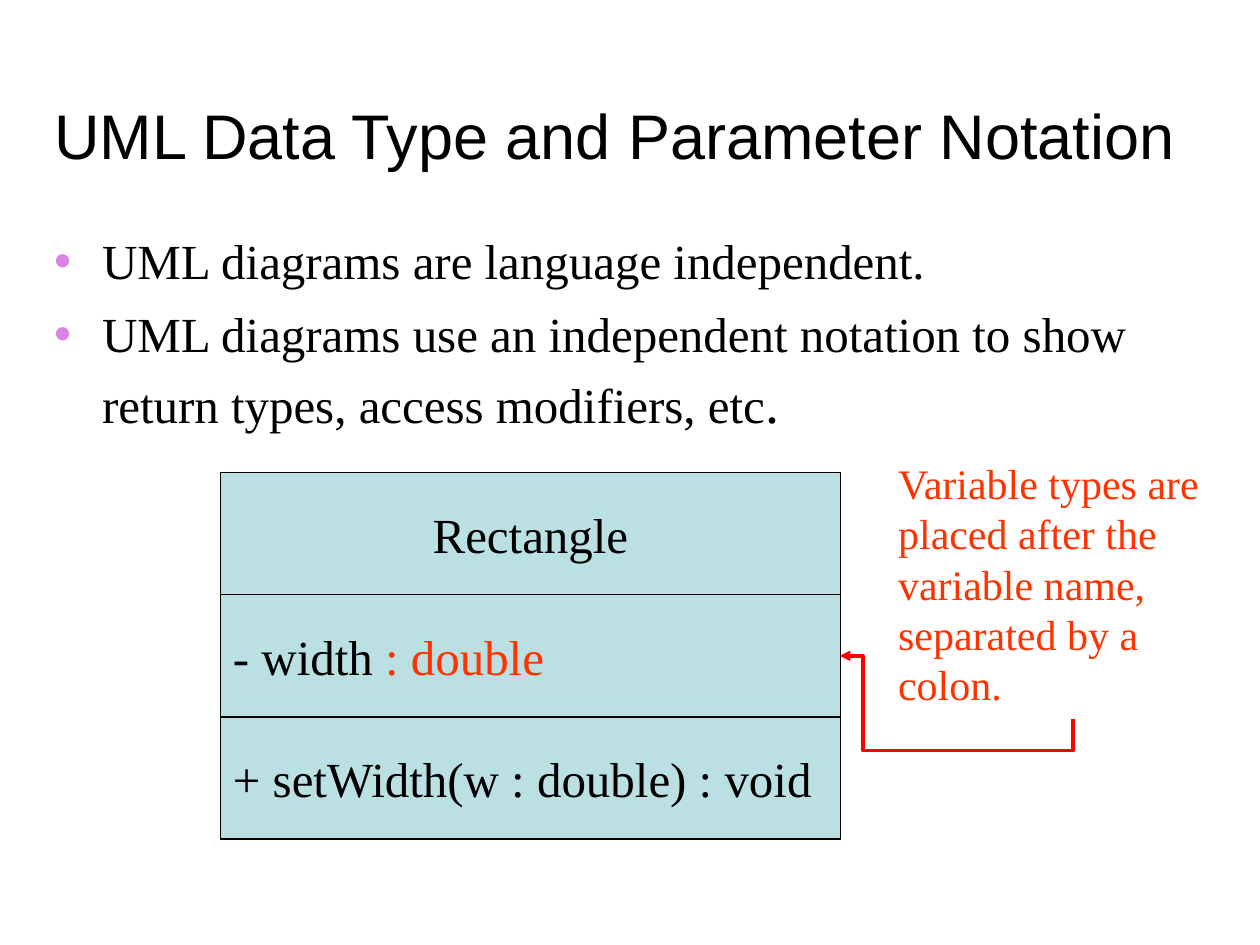
from lxml.etree import SubElement
from pptx import Presentation
from pptx.dml.color import RGBColor
from pptx.enum.shapes import MSO_CONNECTOR as Connector, MSO_SHAPE as Shape
from pptx.enum.text import MSO_ANCHOR as Anchor, MSO_AUTO_SIZE as AutoSize, PP_ALIGN as Align
from pptx.oxml.ns import qn
from pptx.util import Inches, Pt

SERIF = "Times New Roman"
BLACK, ORANGE, RED = "000000", "FF3300", "FF0000"
CELL_FILL, BULLET = "BBE0E3", "D885E3"


def color(hex_text):
    """Turn a hex string into a colour."""
    return RGBColor.from_string(hex_text)


def add_run(para, text, size, hex_text=BLACK, font=SERIF):
    """Append one formatted run to a paragraph."""
    span = para.add_run()
    span.text = text
    span.font.name = font
    span.font.size = Pt(size)
    span.font.color.rgb = color(hex_text)


def place(shape, left, top, width, height):
    """Move a shape to a box given in inches."""
    shape.left, shape.top = Inches(left), Inches(top)
    shape.width, shape.height = Inches(width), Inches(height)


def add_bullet(para):
    """Give a paragraph a hanging coloured bullet."""
    props = para._p.get_or_add_pPr()
    props.set("marL", str(Inches(0.38)))
    props.set("indent", str(-Inches(0.38)))
    tint = SubElement(props, qn("a:buClr"))
    SubElement(tint, qn("a:srgbClr"), val=BULLET)
    SubElement(props, qn("a:buFont"), typeface="Arial")
    SubElement(props, qn("a:buChar"), char="•")


def fill_title(title, text, box):
    """Place the title and write it at the bottom left of its box."""
    place(title, *box)
    frame = title.text_frame
    frame.auto_size = AutoSize.NONE
    frame.vertical_anchor = Anchor.BOTTOM
    para = frame.paragraphs[0]
    para.alignment = Align.LEFT
    add_run(para, text, 36, font="Arial")


def fill_body(body, items, box):
    """Place the bullet list and write its items, each a list of sized runs."""
    place(body, *box)
    frame = body.text_frame
    frame.auto_size = AutoSize.NONE
    frame.margin_right = 0
    for index, runs in enumerate(items):
        para = frame.add_paragraph() if index else frame.paragraphs[0]
        add_bullet(para)
        para.line_spacing = 1.07
        para.space_before = Pt(5.6 if index else 0)
        for text, size in runs:
            add_run(para, text, size)


def add_class_diagram(page, compartments, box):
    """Stack equal compartments of a class diagram in the box."""
    left, top, width, height = box
    step = height / len(compartments)
    for index, (align, runs) in enumerate(compartments):
        cell = page.shapes.add_shape(Shape.RECTANGLE, Inches(left), Inches(top + index * step),
                                     Inches(width), Inches(step))
        cell.shadow.inherit = False
        cell.fill.solid()
        cell.fill.fore_color.rgb = color(CELL_FILL)
        cell.line.color.rgb = color(BLACK)
        cell.line.width = Pt(0.75)
        frame = cell.text_frame
        frame.word_wrap = False
        frame.vertical_anchor = Anchor.MIDDLE
        para = frame.paragraphs[0]
        para.alignment = align
        for text, hex_text in runs:
            add_run(para, text, 28, hex_text)


def add_note(page, text, box):
    """Write a wrapped side note in the box."""
    note = page.shapes.add_textbox(*map(Inches, box))
    note.text_frame.word_wrap = True
    add_run(note.text_frame.paragraphs[0], text, 24, ORANGE)


def add_note_arrow(page, box):
    """Draw the bent arrow that leads from the note to the diagram."""
    arrow = page.shapes.add_connector(Connector.ELBOW, 0, 0, 0, 0)
    place(arrow, *box)
    props = arrow._element.spPr
    transform = props.find(qn("a:xfrm"))
    transform.set("rot", str(90 * 60000))
    transform.set("flipH", "1")
    geometry = props.find(qn("a:prstGeom"))
    geometry.set("prst", "bentConnector4")
    guides = geometry.find(qn("a:avLst"))
    for name, value in (("adj1", -50500), ("adj2", 90100)):
        SubElement(guides, qn("a:gd"), name=name, fmla=f"val {value}")
    arrow.line.color.rgb = color(RED)
    arrow.line.width = Pt(2)
    SubElement(arrow.line._get_or_add_ln(), qn("a:tailEnd"), type="triangle")
    SubElement(props, qn("a:effectLst"))


def build_slide(deck):
    """Add the slide and lay out its regions."""
    page = deck.slides.add_slide(deck.slide_layouts[1])
    title, body = page.placeholders
    fill_title(title, "UML Data Type and Parameter Notation", (0.33, 0.33, 9.42, 1.09))
    fill_body(body, [
        [("UML diagrams are language independent.", 28)],
        [("UML diagrams use an independent notation to show return types, "
          "access modifiers, etc", 28), (".", 32)],
    ], (0.33, 1.75, 9.07, 1.94))
    add_class_diagram(page, [
        (Align.CENTER, [("Rectangle", BLACK)]),
        (Align.LEFT, [("- width ", BLACK), (": double", ORANGE)]),
        (Align.LEFT, [("+ setWidth(w : double) : void", BLACK)]),
    ], (1.75, 3.75, 4.92, 2.91))
    add_note(page, "Variable types are placed after the variable name, separated by a colon.",
             (7.03, 3.58, 2.97, 2.12))
    add_note_arrow(page, (7.34, 4.53, 0.5, 1.85))


def main():
    """Build and save the deck."""
    deck = Presentation()
    deck.slide_width, deck.slide_height = Inches(10), Inches(7.5)
    build_slide(deck)
    deck.save("out.pptx")


if __name__ == "__main__":
    main()
